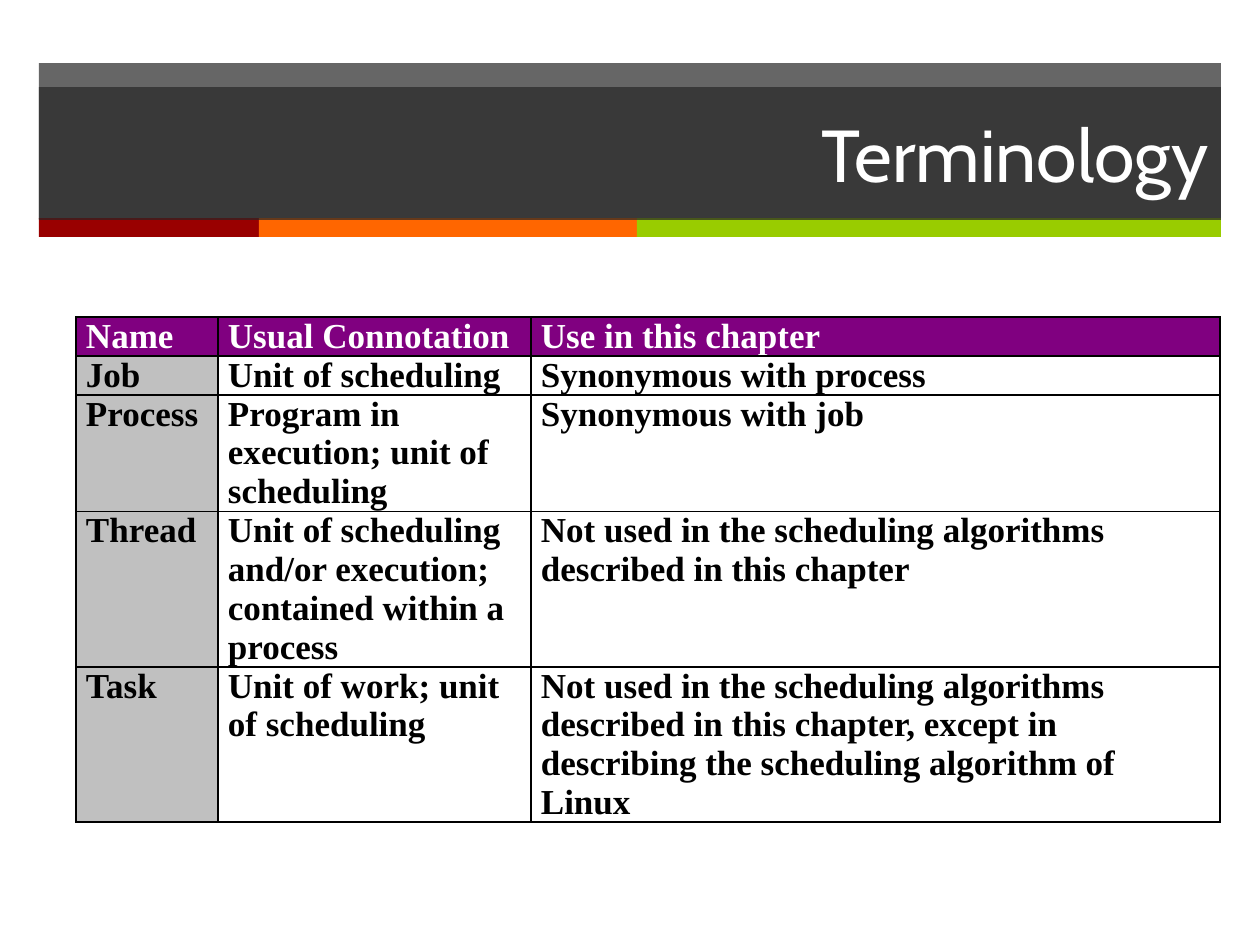
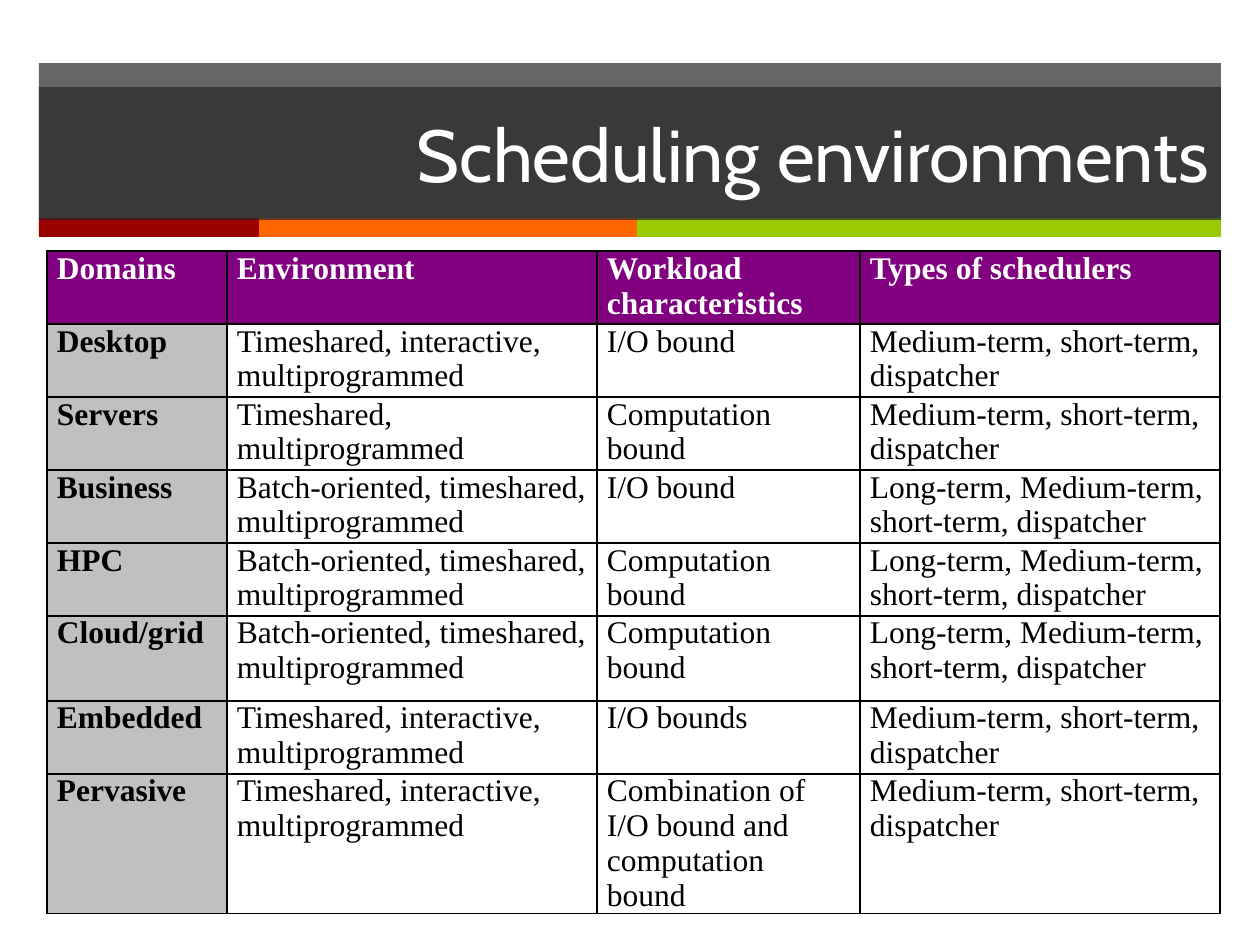
import pptx
import pptx.dml.color
import pptx.enum.shapes
import pptx.enum.text
import pptx.oxml
import pptx.oxml.ns
import pptx.util

COLORS = {
    "band": "262626", "red": "990000", "orange": "FF6600", "green": "99CC00",
    "header": "800080", "label": "C0C0C0", "white": "FFFFFF", "black": "000000",
}
TITLE_FONT, TABLE_FONT = "Cabin", "Times New Roman"
PX_PER_INCH = 126
BAND_LEFT, BAND_TOP, BAND_WIDTH, BAND_HEIGHT = 39, 63, 1182, 156
TITLE_TOP, TITLE_HEIGHT = 87, 133
STRIP_TOP, STRIP_HEIGHT = 218, 19
STRIPS = [("red", 220), ("orange", 378), ("green", 584)]
BAND_OPACITY = 70
CELL_INSET = 10
TITLE_ONLY_LAYOUT = 5

TIMESHARED = "Timeshared, interactive, multiprogrammed"
BATCH = "Batch-oriented, timeshared, multiprogrammed"
COMPUTATION = "Computation bound"
SHORT_TERM = "Medium-term, short-term, dispatcher"
LONG_TERM = "Long-term, Medium-term, short-term, dispatcher"

SLIDES = [
    {
        "title": "Terminology",
        "corner": (76, 317), "columns": [142, 313, 689],
        "row_heights": [38, 38, 114, 152, 152],
        "size": 20, "bold_body": True,
        "rows": [
            ("Name", "Usual Connotation", "Use in this chapter"),
            ("Job", "Unit of scheduling", "Synonymous with process"),
            ("Process", "Program in execution; unit of scheduling",
             "Synonymous with job"),
            ("Thread",
             "Unit of scheduling and/or execution; contained within a process",
             "Not used in the scheduling algorithms described in this chapter"),
            ("Task", "Unit of work; unit of scheduling",
             "Not used in the scheduling algorithms described in this chapter, "
             "except in describing the scheduling algorithm of Linux"),
        ],
    },
    {
        "title": "Scheduling environments",
        "corner": (47, 251), "columns": [180, 370, 263, 360],
        "row_heights": [73, 73, 73, 73, 73, 85, 73, 123],
        "size": 18, "bold_body": False,
        "rows": [
            ("Domains", "Environment", "Workload characteristics",
             "Types of schedulers"),
            ("Desktop", TIMESHARED, "I/O bound", SHORT_TERM),
            ("Servers", "Timeshared, multiprogrammed", COMPUTATION, SHORT_TERM),
            ("Business", BATCH, "I/O bound", LONG_TERM),
            ("HPC", BATCH, COMPUTATION, LONG_TERM),
            ("Cloud/grid", BATCH, COMPUTATION, LONG_TERM),
            ("Embedded", TIMESHARED, "I/O bounds", SHORT_TERM),
            ("Pervasive", TIMESHARED,
             "Combination of I/O bound and computation bound", SHORT_TERM),
        ],
    },
]


def px(*lengths):
    return [pptx.util.Emu(round(length * 914400 / PX_PER_INCH)) for length in lengths]


def rgb(name):
    return pptx.dml.color.RGBColor.from_string(COLORS[name])


def fill_shape(shape, color, opacity=100):
    shape.fill.solid()
    shape.fill.fore_color.rgb = rgb(color)
    shape.line.fill.background()
    if opacity < 100:
        value = shape.element.find(".//" + pptx.oxml.ns.qn("a:srgbClr"))
        alpha = value.makeelement(pptx.oxml.ns.qn("a:alpha"),
                                  {"val": str(opacity * 1000)})
        value.append(alpha)


def format_text(para, font_name, size, color, bold=False):
    para.font.name = font_name
    para.font.size = pptx.util.Pt(size)
    para.font.color.rgb = rgb(color)
    para.font.bold = bold


def add_bands(slide, layout):
    """Draw the header bands and move them to the layout, which all slides share."""
    bands = [("band", BAND_LEFT, BAND_TOP, BAND_WIDTH, BAND_HEIGHT, BAND_OPACITY)]
    left = BAND_LEFT
    for color, width in STRIPS:
        bands.append((color, left, STRIP_TOP, width, STRIP_HEIGHT, 100))
        left += width
    for number, (color, *place, opacity) in enumerate(bands):
        band = slide.shapes.add_shape(
            pptx.enum.shapes.MSO_SHAPE.RECTANGLE, *px(*place))
        band.shadow.inherit = False
        fill_shape(band, color, opacity)
        band.element.nvSpPr.cNvPr.set("id", str(20 + number))
        layout.shapes.element.append(band.element)


def set_title(slide, text):
    title = slide.shapes.title
    title.left, title.top, title.width, title.height = px(
        BAND_LEFT, TITLE_TOP, BAND_WIDTH, TITLE_HEIGHT)
    fill_shape(title, "band", BAND_OPACITY)
    frame = title.text_frame
    frame.text = text
    frame.auto_size = pptx.enum.text.MSO_AUTO_SIZE.NONE
    frame.vertical_anchor = pptx.enum.text.MSO_ANCHOR.MIDDLE
    para = frame.paragraphs[0]
    para.alignment = pptx.enum.text.PP_ALIGN.RIGHT
    format_text(para, TITLE_FONT, 42, "white")


def add_borders(cell):
    properties = cell._tc.get_or_add_tcPr()
    for side in ("lnL", "lnR", "lnT", "lnB"):
        properties.append(pptx.oxml.parse_xml(
            f'<a:{side} {pptx.oxml.ns.nsdecls("a")} w="12700"><a:solidFill>'
            f'<a:srgbClr val="{COLORS["black"]}"/></a:solidFill></a:{side}>'))


def format_cell(cell, text, fill, text_color, size, bold):
    add_borders(cell)
    if fill:
        cell.fill.solid()
        cell.fill.fore_color.rgb = rgb(fill)
    else:
        cell.fill.background()
    cell.margin_left, cell.margin_top, cell.margin_right, cell.margin_bottom = px(
        CELL_INSET, 0, CELL_INSET, 0)
    cell.text = text
    format_text(cell.text_frame.paragraphs[0], TABLE_FONT, size, text_color, bold)


def add_grid(slide, content):
    rows, widths, heights = (
        content["rows"], content["columns"], content["row_heights"])
    table = slide.shapes.add_table(
        len(rows), len(widths),
        *px(*content["corner"], sum(widths), sum(heights))).table
    table.horz_banding = False
    for column, width in zip(table.columns, px(*widths)):
        column.width = width
    for row, height in zip(table.rows, px(*heights)):
        row.height = height
    for row_number, texts in enumerate(rows):
        for column_number, text in enumerate(texts):
            if row_number == 0:
                look = ("header", "white", content["size"], True)
            elif column_number == 0:
                look = ("label", "black", content["size"], True)
            else:
                look = (None, "black", content["size"], content["bold_body"])
            format_cell(table.cell(row_number, column_number), text, *look)


def main():
    deck = pptx.Presentation()
    deck.slide_width, deck.slide_height = px(1260, 945)
    layout = deck.slide_layouts[TITLE_ONLY_LAYOUT]
    for content in SLIDES:
        slide = deck.slides.add_slide(layout)
        set_title(slide, content["title"])
        add_grid(slide, content)
    add_bands(deck.slides[0], layout)
    deck.save("out.pptx")


if __name__ == "__main__":
    main()
